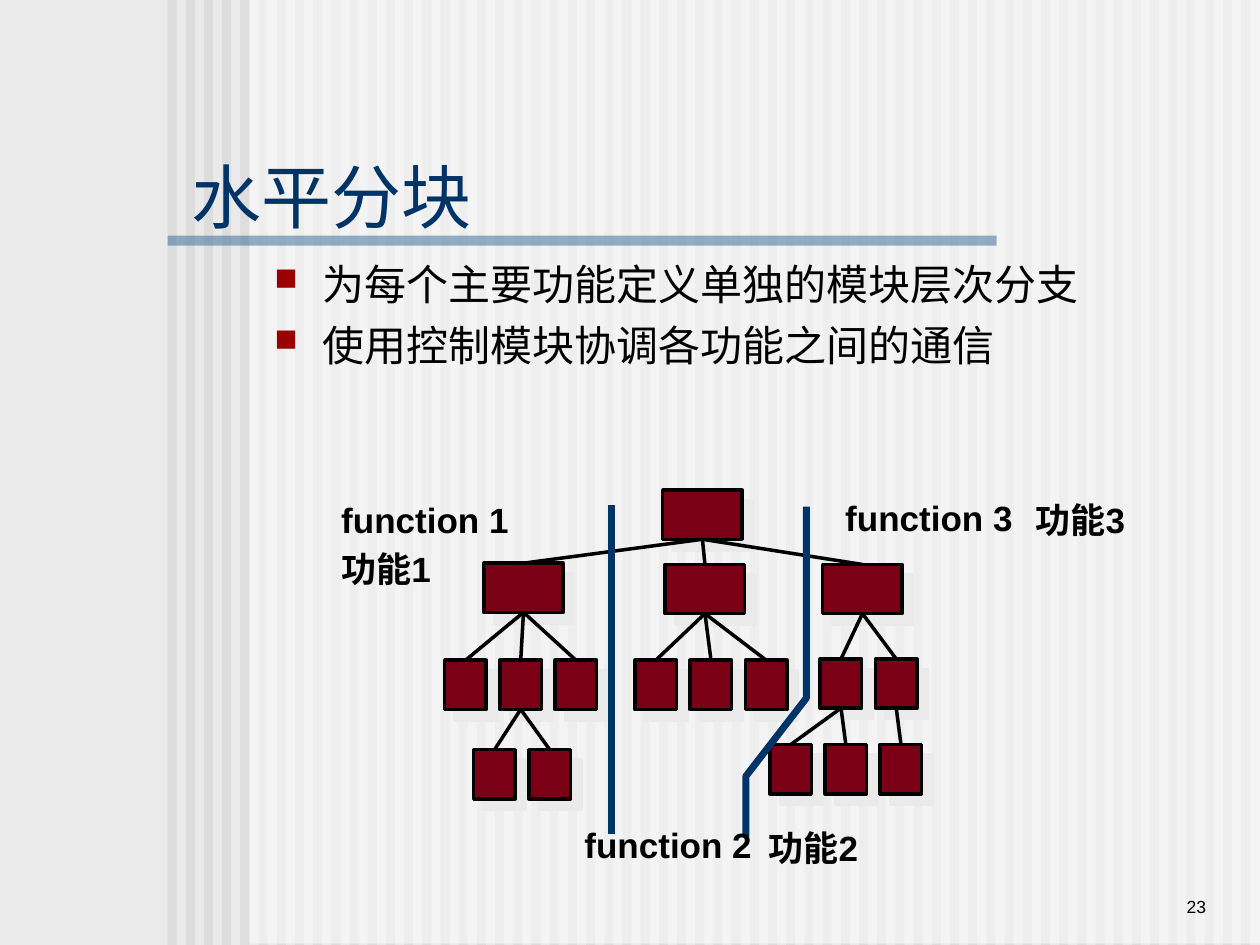
from lxml.etree import SubElement
from pptx import Presentation
from pptx.dml.color import RGBColor
from pptx.enum.shapes import MSO_CONNECTOR, MSO_SHAPE
from pptx.enum.text import MSO_ANCHOR, MSO_AUTO_SIZE, PP_ALIGN
from pptx.oxml.ns import qn
from pptx.util import Inches, Pt

BACKGROUND = RGBColor(0xEA, 0xEA, 0xEA)
STRIPE = RGBColor(0xDD, 0xDD, 0xDD)
WHITE = RGBColor(0xFF, 0xFF, 0xFF)
BAR = RGBColor(0x33, 0x66, 0x99)
NAVY = RGBColor(0x00, 0x33, 0x66)
BLACK = RGBColor(0x00, 0x00, 0x00)
MAROON = RGBColor(0x79, 0x00, 0x15)
BULLET = RGBColor(0x9A, 0x00, 0x00)

COLUMNS, ROWS = 100, 75
BOTTOM, TOP = 2, 0
STRIPE_COUNT, STRIPE_PITCH = 60, 1.444
BRANCH_WIDTH, LEAF_WIDTH, BOX_HEIGHT, LEAF_PITCH = 6.3, 3.3, 3.9, 4.38

BRANCHES = [(38.4, 44.7), (52.8, 44.8), (65.3, 44.8)]
LEAF_GROUPS = [
    ("branch 0", 35.3, 52.4, 3),
    ("branch 1", 50.4, 52.4, 3),
    ("branch 2", 65.1, 52.3, 2),
]
LOWER_GROUPS = [
    ("branch 0 leaf 1", 37.6, 59.5, [0, 1]),
    ("branch 2 leaf 0", 61.1, 59.1, [0, 1]),
    ("branch 2 leaf 1", 61.1, 59.1, [2]),
]
LABELS = [
    ("功能1", 26.1, 43, 9.8),
    ("功能3", 81.2, 39.1, 9.8),
    ("功能2", 60, 65.1, 9.8),
    ("function 1", 26.1, 39.1, 15.3),
    ("function 3", 66.1, 38.9, 15.3),
    ("function 2", 45.4, 64.9, 15.3),
]


def apply(target, values):
    for name, value in values.items():
        setattr(target, name, value)


class SlideBuilder:
    """Draw styled elements on one slide, placed in grid columns and rows."""

    def __init__(self, presentation):
        self.column = presentation.slide_width / COLUMNS
        self.row = presentation.slide_height / ROWS
        self.slide = presentation.slides.add_slide(presentation.slide_layouts[6])
        self.shapes = self.slide.shapes
        self.slide.background.fill.solid()
        self.slide.background.fill.fore_color.rgb = BACKGROUND

    def place(self, *lengths):
        units = (self.column, self.row) * 2
        return [round(length * unit) for length, unit in zip(lengths, units)]

    def rectangle(self, at, color, opacity=100):
        shape = self.shapes.add_shape(MSO_SHAPE.RECTANGLE, *self.place(*at))
        shape.shadow.inherit = False
        shape.fill.solid()
        shape.fill.fore_color.rgb = color
        shape.line.fill.background()
        if opacity < 100:
            fill_color = shape._element.spPr.find(f".//{qn('a:srgbClr')}")
            SubElement(fill_color, qn("a:alpha"), val=str(opacity * 1000))
        return shape

    def module(self, left, top, width):
        shape = self.rectangle((left, top, width, BOX_HEIGHT), MAROON)
        self.stroke(shape, BLACK, 2)
        effects = shape._element.spPr.find(qn("a:effectLst"))
        shadow = SubElement(
            effects, qn("a:outerShdw"), dist=str(Pt(8.5)), dir="2700000", algn="ctr", rotWithShape="0"
        )
        SubElement(shadow, qn("a:srgbClr"), val=str(BACKGROUND))
        return shape

    def stroke(self, shape, color, width):
        shape.line.color.rgb = color
        shape.line.width = Pt(width)

    def line(self, start, end, color, width):
        connector = self.shapes.add_connector(
            MSO_CONNECTOR.STRAIGHT, *self.place(*start, *end)
        )
        self.stroke(connector, color, width)
        SubElement(connector._element.spPr, qn("a:effectLst"))
        return connector

    def link(self, parent, child):
        connector = self.line((0, 0), (0, 0), BLACK, 2)
        connector.begin_connect(parent, BOTTOM)
        connector.end_connect(child, TOP)

    def outline(self, points, color, width):
        start, *others = [self.place(*point) for point in points]
        builder = self.shapes.build_freeform(*start)
        builder.add_line_segments(others, close=False)
        shape = builder.convert_to_shape()
        shape.shadow.inherit = False
        shape.fill.background()
        self.stroke(shape, color, width)

    def text(self, at, lines, size, color=BLACK, bold=False, bullet=False, align=PP_ALIGN.LEFT, **frame_format):
        frame = self.shapes.add_textbox(*self.place(*at)).text_frame
        apply(frame, {"word_wrap": True, **frame_format})
        for index, line in enumerate(lines):
            paragraph = frame.add_paragraph() if index else frame.paragraphs[0]
            paragraph.text = line
            paragraph.alignment = align
            if index:
                paragraph.space_before = Pt(6)
            if bullet:
                self.bullet(paragraph)
            apply(paragraph.font, {"name": "Arial", "size": Pt(size), "bold": bold})
            paragraph.font.color.rgb = color

    def bullet(self, paragraph):
        properties = paragraph._p.get_or_add_pPr()
        indent = Inches(0.38)
        properties.set("marL", str(indent))
        properties.set("indent", str(-indent))
        color = SubElement(properties, qn("a:buClr"))
        SubElement(color, qn("a:srgbClr"), val=str(BULLET))
        SubElement(properties, qn("a:buSzPct"), val="75000")
        SubElement(properties, qn("a:buChar"), char="■")


def draw_backdrop(builder):
    for index in range(STRIPE_COUNT):
        builder.rectangle((13.3 + index * STRIPE_PITCH, 0, 0.72, ROWS), STRIPE)
    builder.rectangle((19.8, 0, 80.2, 74.9), WHITE, opacity=50)
    builder.rectangle((13.3, 18.7, 65.8, 0.8), BAR, opacity=50)


def draw_tree(builder):
    modules = {"root": builder.module(52.6, 38.9, BRANCH_WIDTH)}
    links = []

    def add(name, parent, left, top, width):
        modules[name] = builder.module(left, top, width)
        links.append((parent, name))

    for index, (left, top) in enumerate(BRANCHES):
        add(f"branch {index}", "root", left, top, BRANCH_WIDTH)
    groups = [(parent, left, top, range(count)) for parent, left, top, count in LEAF_GROUPS]
    for parent, left, top, places in groups + LOWER_GROUPS:
        for place in places:
            add(f"{parent} leaf {place}", parent, left + place * LEAF_PITCH, top, LEAF_WIDTH)
    for parent, child in links:
        builder.link(modules[parent], modules[child])


def main():
    presentation = Presentation()
    apply(presentation, {"slide_width": Inches(10), "slide_height": Inches(7.5)})
    builder = SlideBuilder(presentation)
    draw_backdrop(builder)
    builder.text((82.5, 68.3, 14.2, 5), ["23"], 10, align=PP_ALIGN.RIGHT, vertical_anchor=MSO_ANCHOR.BOTTOM)
    builder.text((14.2, 12.5, 59.1, 6), ["水平分块"], 40, NAVY, vertical_anchor=MSO_ANCHOR.MIDDLE)
    points = ["为每个主要功能定义单独的模块层次分支", "使用控制模块协调各功能之间的通信"]
    builder.text((20.8, 20, 75.6, 25.8), points, 24, bullet=True)
    draw_tree(builder)
    builder.line((48.5, 40.1), (48.5, 66.2), NAVY, 4)
    builder.outline([(64, 40.2), (64, 55.4), (59.2, 61.6), (59.2, 66.4)], NAVY, 4)
    label_format = {"word_wrap": False, "auto_size": MSO_AUTO_SIZE.SHAPE_TO_FIT_TEXT}
    for label, left, top, width in LABELS:
        builder.text((left, top, width, 4.3), [label], 20, bold=True, **label_format)
    presentation.save("out.pptx")


if __name__ == "__main__":
    main()
